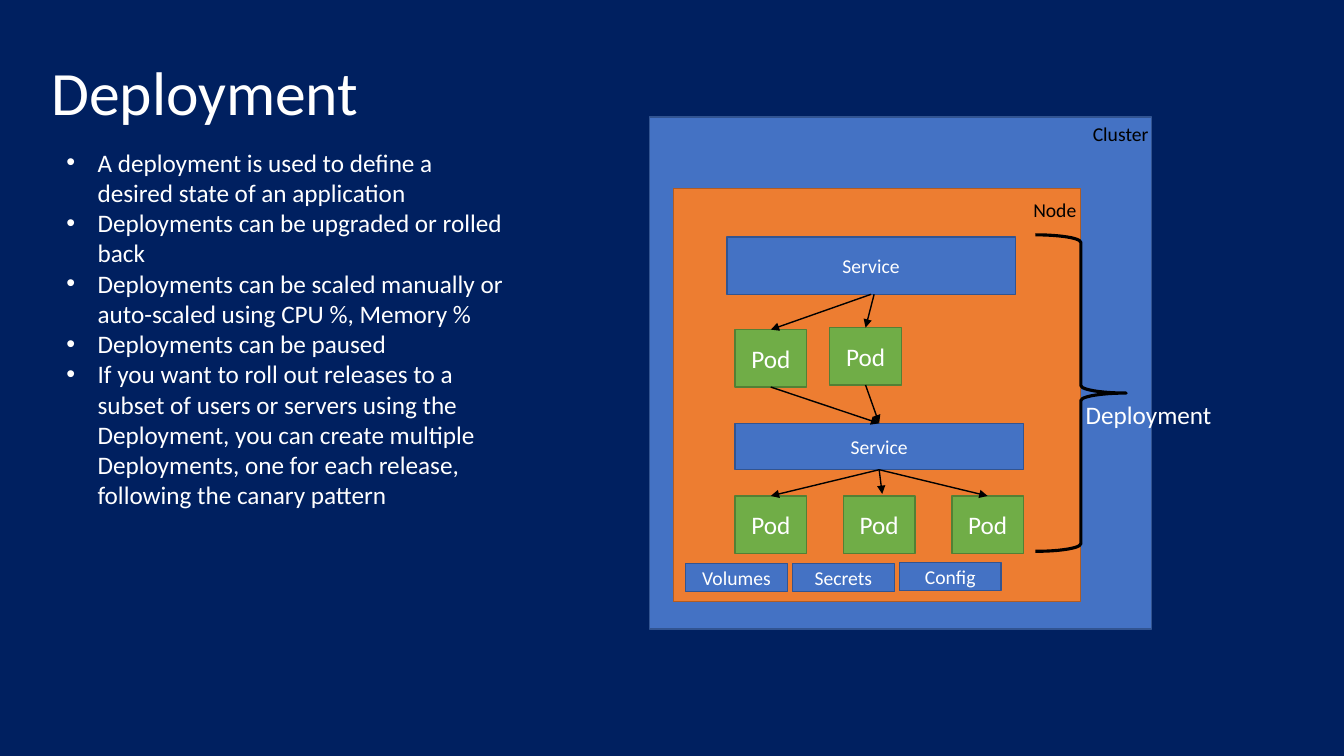
from lxml.etree import SubElement
from pptx import Presentation
from pptx.dml.color import RGBColor
from pptx.enum.shapes import MSO_CONNECTOR, MSO_SHAPE
from pptx.enum.text import MSO_ANCHOR, PP_ALIGN
from pptx.oxml.ns import qn
from pptx.util import Inches, Pt

THEME = {
    "font": "Calibri", "bg": "002060", "light": "FFFFFF", "dark": "000000",
    "blue": ("4472C4", "325491"), "orange": ("ED7D31", "AF5C24"), "green": ("70AD47", "538035"),
    "title": 44, "body": 18, "small": 14, "line": 1, "brace": 2.25,
}
BULLETS = [
    "A deployment is used to define a desired state of an application",
    "Deployments can be upgraded or rolled back",
    "Deployments can be scaled manually or auto-scaled using CPU %, Memory %",
    "Deployments can be paused",
    "If you want to roll out releases to a subset of users or servers using the Deployment, "
    "you can create multiple Deployments, one for each release, following the canary pattern",
]
BULLET_INDENT = 0.31
# text, left, top, width, height, size, colour, anchor
LABELS = [
    ("Node", 10.15, 1.91, 0.9, 0.65, "small", "dark", MSO_ANCHOR.TOP),
    ("Cluster", 10.74, 1.16, 0.8, 0.43, "small", "dark", MSO_ANCHOR.TOP),
    ("Deployment", 10.67, 3.91, 1.56, 0.4, "body", "light", MSO_ANCHOR.TOP),
    ("Deployment", 0.41, 0.18, 11.5, 1.45, "title", "light", MSO_ANCHOR.MIDDLE),
]
FRAMES = [("blue", 6.44, 1.16, 4.98, 5.08), ("orange", 6.68, 1.87, 4.04, 4.1)]
POD_W, POD_H, SERVICE_W = 0.71, 0.57, 2.86
POD_ROW_LEFT, POD_ROW_TOP, POD_STEP = 7.29, 4.92, 1.075
SERVICES = {"front": (7.21, 2.35, 0.57), "back": (7.29, 4.2, 0.46)}
PODS = {"left": (7.29, 3.27), "right": (8.23, 3.25)}
PODS.update({i: (POD_ROW_LEFT + i * POD_STEP, POD_ROW_TOP) for i in range(3)})
RESOURCES = [("Volumes", 5.59), ("Secrets", 5.59), ("Config", 5.58)]
RESOURCE_LEFT, RESOURCE_STEP, RESOURCE_W, RESOURCE_H = 6.8, 1.06, 1.01, 0.28
# each end is a box name, joined at its bottom or top, or a free point
ARROWS = [
    ("front", "left"), ((8.67, 2.92), "right"), ("left", "back"), ("right", "back"),
    ("back", 0), ("back", (8.75, 4.9)), ("back", 2),
]
BRACE = (10.27, 2.33, 0.9, 3.14)
BOTTOM, TOP = 2, 0


def rgb(value):
    return RGBColor.from_string(value)


def write(p, text, size, color="light"):
    r = p.add_run()
    r.text = text
    formats = {"name": THEME["font"], "size": Pt(THEME[size])}
    for name, value in formats.items():
        setattr(r.font, name, value)
    r.font.color.rgb = rgb(THEME[color])


def add_text_box(s, left, top, width, height, anchor=MSO_ANCHOR.TOP):
    tf = s.shapes.add_textbox(*map(Inches, (left, top, width, height))).text_frame
    for name, value in {"word_wrap": True, "vertical_anchor": anchor}.items():
        setattr(tf, name, value)
    return tf


def add_bullets(s):
    tf = add_text_box(s, 0.56, 1.41, 4.53, 4.34)
    for i, text in enumerate(BULLETS):
        p = tf.add_paragraph() if i else tf.paragraphs[0]
        write(p, text, "body")
        pPr = p._p.get_or_add_pPr()
        pPr.set("marL", str(Inches(BULLET_INDENT)))
        pPr.set("indent", str(-Inches(BULLET_INDENT)))
        SubElement(pPr, qn("a:buFont")).set("typeface", "Arial")
        SubElement(pPr, qn("a:buChar")).set("char", "•")


def add_box(s, color, left, top, width, height, text="", size="small"):
    sp = s.shapes.add_shape(MSO_SHAPE.RECTANGLE, *map(Inches, (left, top, width, height)))
    sp.shadow.inherit = False
    fill, line = THEME[color]
    sp.fill.solid()
    sp.fill.fore_color.rgb = rgb(fill)
    sp.line.color.rgb = rgb(line)
    sp.line.width = Pt(THEME["line"])
    if text:
        tf = sp.text_frame
        tf.vertical_anchor = MSO_ANCHOR.MIDDLE
        tf.paragraphs[0].alignment = PP_ALIGN.CENTER
        write(tf.paragraphs[0], text, size)
    return sp


def add_arrow(s, boxes, start, end):
    points = [Inches(v) for at in (start, end) for v in (at if isinstance(at, tuple) else (0, 0))]
    line = s.shapes.add_connector(MSO_CONNECTOR.STRAIGHT, *points)
    if start in boxes:
        line.begin_connect(boxes[start], BOTTOM)
    if end in boxes:
        line.end_connect(boxes[end], TOP)
    line.line.color.rgb = rgb(THEME["dark"])
    line.line.width = Pt(THEME["line"])
    SubElement(line.line._get_or_add_ln(), qn("a:tailEnd")).set("type", "triangle")
    SubElement(line._element.spPr, qn("a:effectLst"))


def add_brace(s):
    sp = s.shapes.add_shape(MSO_SHAPE.RIGHT_BRACE, *map(Inches, BRACE))
    sp.shadow.inherit = False
    sp.fill.background()
    sp.line.color.rgb = rgb(THEME["dark"])
    sp.line.width = Pt(THEME["brace"])


def main():
    prs = Presentation()
    prs.slide_width, prs.slide_height = Inches(13.33), Inches(7.5)
    s = prs.slides.add_slide(prs.slide_layouts[6])
    s.background.fill.solid()
    s.background.fill.fore_color.rgb = rgb(THEME["bg"])

    add_bullets(s)
    for frame in FRAMES:
        add_box(s, *frame)
    boxes = {}
    for key, (left, top, height) in SERVICES.items():
        boxes[key] = add_box(s, "blue", left, top, SERVICE_W, height, "Service")
    for key, (left, top) in PODS.items():
        boxes[key] = add_box(s, "green", left, top, POD_W, POD_H, "Pod", "body")
    for start, end in ARROWS:
        add_arrow(s, boxes, start, end)
    add_brace(s)
    for text, left, top, width, height, size, color, anchor in LABELS:
        tf = add_text_box(s, left, top, width, height, anchor)
        write(tf.paragraphs[0], text, size, color)
    for i, (text, top) in enumerate(RESOURCES):
        add_box(s, "blue", RESOURCE_LEFT + i * RESOURCE_STEP, top, RESOURCE_W, RESOURCE_H, text)
    prs.save("out.pptx")


if __name__ == "__main__":
    main()
